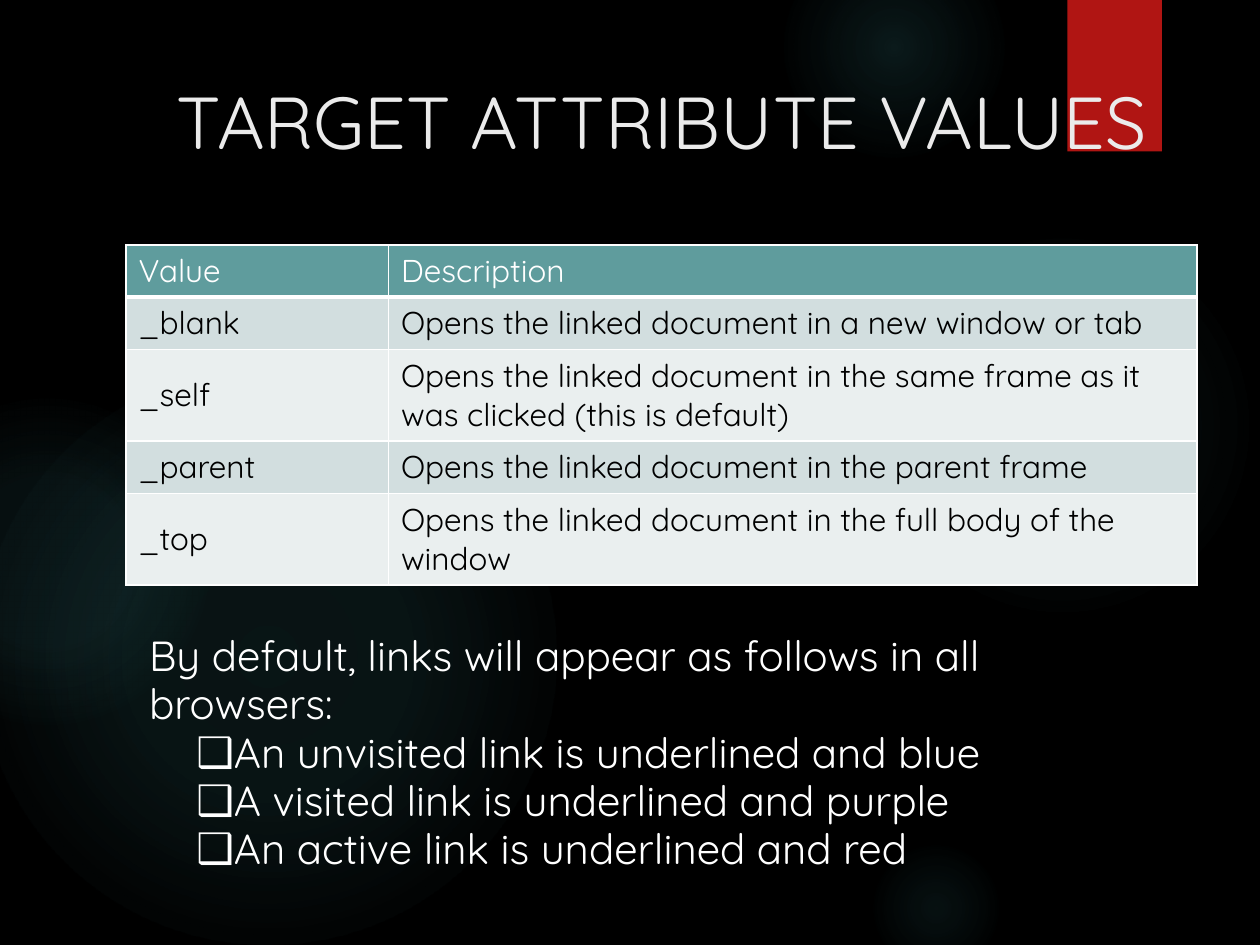
from lxml.etree import SubElement
from pptx import Presentation
from pptx.dml.color import RGBColor
from pptx.enum.shapes import MSO_SHAPE
from pptx.enum.text import MSO_ANCHOR, MSO_AUTO_SIZE, PP_ALIGN
from pptx.oxml import parse_xml
from pptx.oxml.ns import nsdecls, qn
from pptx.util import Pt

FONT = "Quicksand"
GLOW = "50B9C1"
GLOWS = [
    (496, 132, 222, [(0, 7), (36, 6), (69, 0)]),
    (448, -36, 126, [(0, 14), (36, 7), (73, 0)]),
    (496, 480, 78, [(0, 9), (36, 5), (66, 0)]),
    (-12, 210, 330, [(0, 11), (36, 10), (75, 0)]),
    (-66, 228, 186, [(0, 8), (36, 8), (72, 0)]),
]
VALUES = [
    ("Value", "Description"),
    ("_blank", "Opens the linked document in a new window or tab"),
    ("_self", "Opens the linked document in the same frame as it was clicked (this is default)"),
    ("_parent", "Opens the linked document in the parent frame"),
    ("_top", "Opens the linked document in the full body of the window"),
]
ROW_HEIGHTS = [29.5, 29.5, 52.5, 29.5, 52.5]
LINKS_INTRO = "By default, links will appear as follows in all browsers:"
LINK_STATES = [
    "An unvisited link is underlined and blue",
    "A visited link is underlined and purple",
    "An active link is underlined and red",
]


def color(value):
    return RGBColor.from_string(value)


def style(para, size, value):
    para.font.name = FONT
    para.font.size = Pt(size)
    para.font.bold = False
    para.font.color.rgb = color(value)


def place(shape, left, top, width, height):
    shape.left, shape.top = Pt(left), Pt(top)
    shape.width, shape.height = Pt(width), Pt(height)
    shape.element.getparent().append(shape.element)


def add_glow(page, left, top, size, stops):
    glow = page.shapes.add_shape(MSO_SHAPE.OVAL, Pt(left), Pt(top), Pt(size), Pt(size))
    glow.shadow.inherit = False
    glow.line.fill.background()
    stop_xml = "".join(
        f'<a:gs pos="{position * 1000}"><a:srgbClr val="{GLOW}">'
        f'<a:alpha val="{alpha * 1000}"/></a:srgbClr></a:gs>'
        for position, alpha in stops
    )
    gradient = parse_xml(
        f'<a:gradFill {nsdecls("a")} rotWithShape="1"><a:gsLst>{stop_xml}</a:gsLst>'
        '<a:path path="circle"><a:fillToRect l="50000" t="50000" r="50000" b="50000"/>'
        "</a:path></a:gradFill>"
    )
    glow.element.spPr.find(qn("a:prstGeom")).addnext(gradient)


def add_backdrop(page):
    page.background.fill.solid()
    page.background.fill.fore_color.rgb = color("000000")
    for glow in GLOWS:
        add_glow(page, *glow)
    ribbon = page.shapes.add_shape(MSO_SHAPE.RECTANGLE, Pt(610), Pt(0), Pt(54), Pt(86.5))
    ribbon.shadow.inherit = False
    ribbon.fill.solid()
    ribbon.fill.fore_color.rgb = color("B01513")
    ribbon.line.fill.background()


def fill_title(title, left, top, width, height):
    place(title, left, top, width, height)
    frame = title.text_frame
    frame.text = "TARGET ATTRIBUTE VALUES"
    frame.auto_size = MSO_AUTO_SIZE.NONE
    frame.vertical_anchor = MSO_ANCHOR.TOP
    para = frame.paragraphs[0]
    para.alignment = PP_ALIGN.CENTER
    style(para, 42, "EBEBEB")


def set_borders(cell, bottom):
    properties = cell._tc.get_or_add_tcPr()
    sides = [("lnL", 1), ("lnR", 1), ("lnT", 1), ("lnB", bottom)]
    for index, (side, width) in enumerate(sides):
        properties.insert(index, parse_xml(
            f'<a:{side} {nsdecls("a")} w="{Pt(width)}"><a:solidFill>'
            f'<a:srgbClr val="FFFFFF"/></a:solidFill></a:{side}>'
        ))


def add_values_table(page, left, top, width, height):
    table = page.shapes.add_table(
        len(VALUES), 2, Pt(left), Pt(top), Pt(width), Pt(height)).table
    table.columns[0].width = Pt(150)
    table.columns[1].width = Pt(width - 150)
    for row_index, texts in enumerate(VALUES):
        header = row_index == 0
        table.rows[row_index].height = Pt(ROW_HEIGHTS[row_index])
        fill = "5F9C9D" if header else ("EAEFEF", "D2DEDF")[row_index % 2]
        for column_index, text in enumerate(texts):
            cell = table.cell(row_index, column_index)
            cell.text = text
            cell.vertical_anchor = MSO_ANCHOR.MIDDLE
            cell.fill.solid()
            cell.fill.fore_color.rgb = color(fill)
            style(cell.text_frame.paragraphs[0], 18, "FFFFFF" if header else "000000")
            set_borders(cell, 3 if header else 1)


def set_bullet(para, margin, indent, character=None):
    properties = para._p.get_or_add_pPr()
    properties.set("marL", str(Pt(margin)))
    properties.set("indent", str(Pt(indent)))
    if character:
        SubElement(properties, qn("a:buChar")).set("char", character)
    else:
        SubElement(properties, qn("a:buNone"))


def fill_links(body, left, top, width, height):
    place(body, left, top, width, height)
    frame = body.text_frame
    frame.text = "\n".join([LINKS_INTRO, *LINK_STATES])
    frame.word_wrap = True
    frame.auto_size = MSO_AUTO_SIZE.SHAPE_TO_FIT_TEXT
    frame.vertical_anchor = MSO_ANCHOR.TOP
    for index, para in enumerate(frame.paragraphs):
        para.space_before = Pt(0)
        para.line_spacing = 0.96
        style(para, 24, "FFFFFF")
        if index:
            set_bullet(para, 45, -18, "\u2751")
        else:
            set_bullet(para, 0, 0)


def build_slide(deck):
    page = deck.slides.add_slide(deck.slide_layouts[1])
    add_backdrop(page)
    fill_title(page.shapes.title, 72, 40, 612, 72)
    add_values_table(page, 72, 140, 612, sum(ROW_HEIGHTS))
    fill_links(page.placeholders[1], 78, 358, 594, 124)


deck = Presentation()
deck.slide_width, deck.slide_height = Pt(720), Pt(540)
build_slide(deck)
deck.save("out.pptx")
